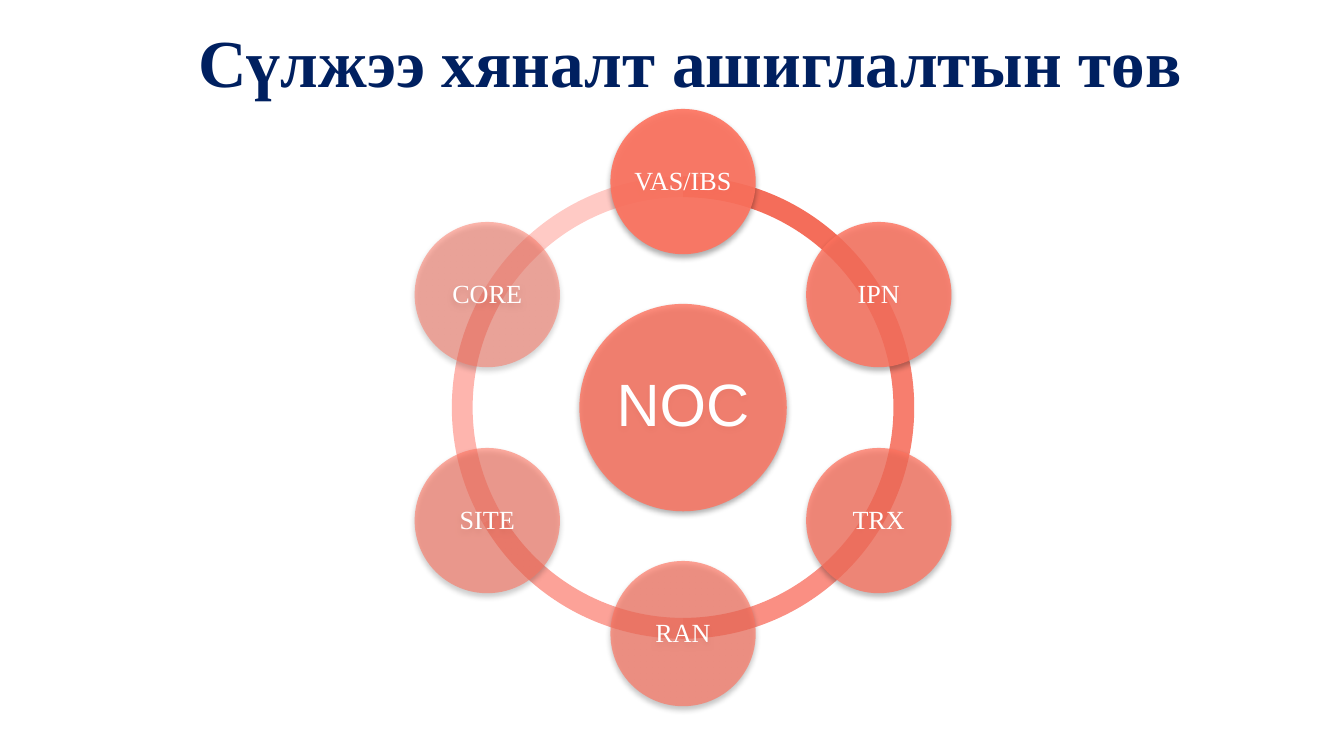
from dataclasses import dataclass
from math import cos, radians, sin

from lxml import etree
from pptx import Presentation
from pptx.dml.color import RGBColor
from pptx.enum.shapes import MSO_SHAPE
from pptx.enum.text import MSO_ANCHOR, PP_ALIGN
from pptx.oxml.ns import qn
from pptx.util import Cm, Pt

ARC, CIRCLE = MSO_SHAPE.BLOCK_ARC, MSO_SHAPE.OVAL
MIDDLE, CENTER = MSO_ANCHOR.MIDDLE, PP_ALIGN.CENTER


@dataclass(frozen=True)
class Theme:
    title: str = "002060"
    circle: str = "FF725E"
    label: str = "FFFFFF"
    shadow: str = "000000"
    serif: str = "Times New Roman"
    sans: str = "Arial"
    title_size: int = 36
    hub_size: int = 32
    node_size: int = 14


THEME = Theme()

# Clockwise from the top: label, circle opacity in %, colour of the arc to the next node
NODES = [
    ("VAS/IBS", 90, "F46D5A"),
    ("IPN", 82, "F77E6E"),
    ("TRX", 74, "FA8F83"),
    ("RAN", 66, "FCA298"),
    ("SITE", 58, "FEB5AE"),
    ("CORE", 50, "FFCAC5"),
]
STEP = 360 / len(NODES)


def style_text(frame, text, font, size, color, bold=False):
    frame.text = text
    para = frame.paragraphs[0]
    para.alignment = CENTER
    span = para.runs[0].font
    span.name, span.size, span.bold = font, Pt(size), bold
    span.color.rgb = RGBColor.from_string(color)


def set_alpha(color_element, percent):
    etree.SubElement(color_element, qn("a:alpha"), val=str(percent * 1000))


def add_disc(shapes, kind, center_x, center_y, diameter, color):
    """Add a borderless shape centred on a point; lengths are in centimetres."""
    disc = shapes.add_shape(kind, Cm(center_x - diameter / 2), Cm(center_y - diameter / 2),
                            Cm(diameter), Cm(diameter))
    disc.fill.solid()
    disc.fill.fore_color.rgb = RGBColor.from_string(color)
    disc.line.fill.background()
    disc.shadow.inherit = False
    return disc


def add_shadow(shape, distance, opacity):
    effects = shape._element.spPr.find(qn("a:effectLst"))
    shadow = etree.SubElement(effects, qn("a:outerShdw"), blurRad=str(Pt(3.1)),
                              dist=str(Pt(distance)), dir="5400000", rotWithShape="0")
    set_alpha(etree.SubElement(shadow, qn("a:srgbClr"), val=THEME.shadow), opacity)


def add_circle(shapes, center_x, center_y, diameter, label, opacity, font, size,
               inset, shadow_distance, shadow_opacity):
    circle = add_disc(shapes, CIRCLE, center_x, center_y, diameter, THEME.circle)
    set_alpha(circle._element.spPr.find(qn("a:solidFill"))[0], opacity)
    add_shadow(circle, shadow_distance, shadow_opacity)
    frame = circle.text_frame
    frame.word_wrap = False
    frame.vertical_anchor = MIDDLE
    frame.margin_left = frame.margin_right = Cm(inset)
    frame.margin_top = frame.margin_bottom = Cm(inset)
    style_text(frame, label, font, size, THEME.label)
    frame.paragraphs[0].line_spacing = 0.9


def add_title(page, left, top, width, height):
    box = page.shapes.add_textbox(Cm(left), Cm(top), Cm(width), Cm(height))
    frame = box.text_frame
    frame.word_wrap = True
    frame.margin_top = Cm(0.39)
    style_text(frame, "Сүлжээ хяналт ашиглалтын төв", THEME.serif,
               THEME.title_size, THEME.title, bold=True)


def add_radial_cycle(page, left, top, width, height):
    shapes = page.shapes.add_group_shape().shapes
    center_x, center_y = left + width / 2, top + height / 2
    node_diameter = 0.18 * height / 0.74
    orbit = (height - node_diameter) / 2

    # Ring of arcs, the last one at the back
    for index, (_, _, color) in reversed(list(enumerate(NODES))):
        start = (270 + index * STEP) % 360
        arc = add_disc(shapes, ARC, center_x, center_y, 8.74, color)
        # Angles are stored in 60000ths of a degree, adjustments in 100000ths
        arc.adjustments[0] = start * 0.6
        arc.adjustments[1] = (start + STEP) % 360 * 0.6
        arc.adjustments[2] = 0.045

    # Hub
    add_circle(shapes, center_x, center_y, 3.92, "NOC", 80, THEME.sans,
               THEME.hub_size, 0.1, 1.6, 38)

    # Nodes around the hub
    for index, (label, opacity, _) in enumerate(NODES):
        angle = radians(index * STEP - 90)
        add_circle(shapes, center_x + orbit * cos(angle), center_y + orbit * sin(angle),
                   node_diameter, label, opacity, THEME.serif, THEME.node_size,
                   0.05, 1.8, 35)


def main():
    deck = Presentation()
    deck.slide_width, deck.slide_height = Cm(25.4), Cm(14.29)
    page = deck.slides.add_slide(deck.slide_layouts[6])
    add_title(page, 2.34, 0, 21.41, 1.7)
    add_radial_cycle(page, 7.84, 2.06, 10.14, 11.29)
    deck.save("out.pptx")


if __name__ == "__main__":
    main()
